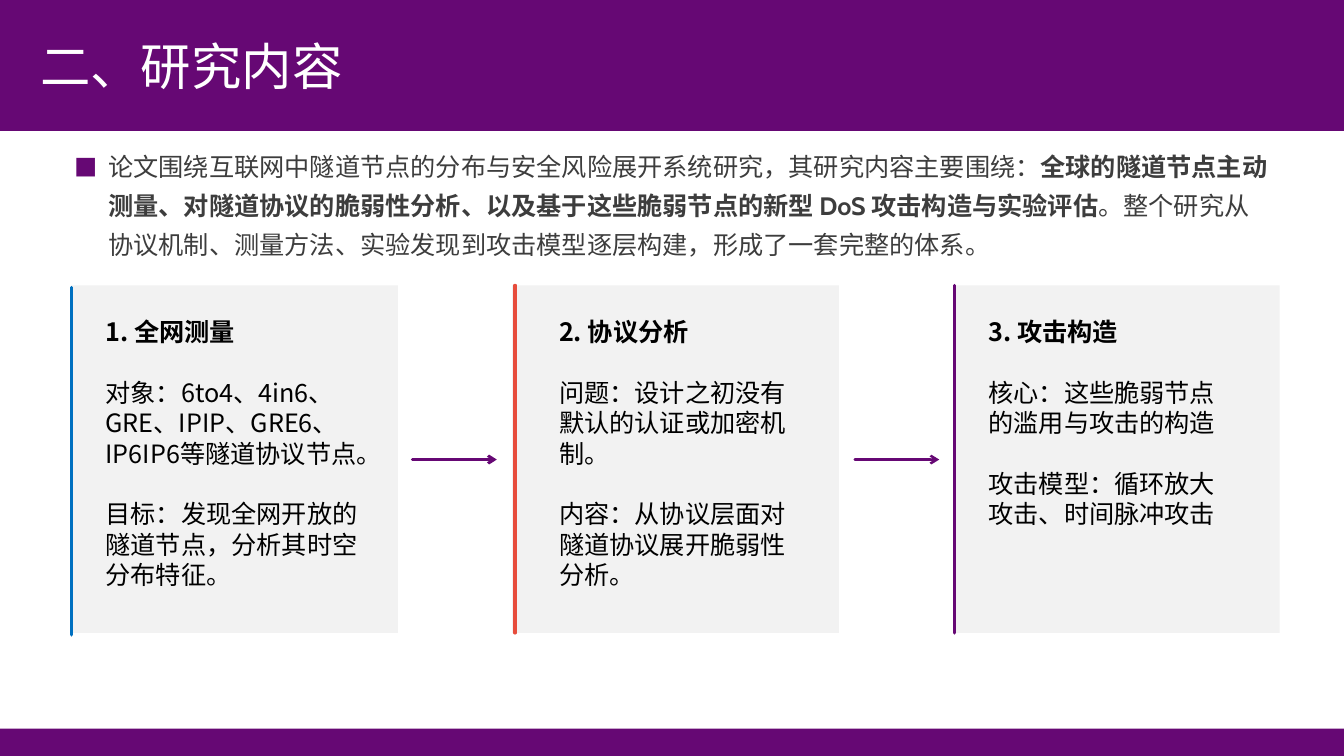
import lxml.etree
import pptx
import pptx.dml.color
import pptx.enum.shapes
import pptx.enum.text
import pptx.oxml.ns
import pptx.util

Cm = pptx.util.Cm
Pt = pptx.util.Pt
qn = pptx.oxml.ns.qn
RGBColor = pptx.dml.color.RGBColor

PURPLE = RGBColor(0x66, 0x08, 0x74)
BLUE = RGBColor(0x00, 0x70, 0xC0)
RED = RGBColor(0xE7, 0x4C, 0x3C)
PALE = RGBColor(0xF2, 0xF2, 0xF2)
GREY = RGBColor(0x3D, 0x3D, 0x3D)
BLACK = RGBColor(0, 0, 0)
WHITE = RGBColor(255, 255, 255)
SANS = "Noto Sans CJK SC"
CABIN = "Cabin"
WIDE, HIGH = 33.87, 19.05


def add_tag(parent, tag, **attrs):
    return lxml.etree.SubElement(parent, qn(tag), attrs)


class Painter:
    def __init__(self, slide, font=SANS, size=18):
        self.slide = slide
        self.font = font
        self.size = size

    def rect(self, x, y, w, h, fill):
        shape = self.slide.shapes.add_shape(
            pptx.enum.shapes.MSO_SHAPE.RECTANGLE, Cm(x), Cm(y), Cm(w), Cm(h))
        shape.shadow.inherit = False
        shape.fill.solid()
        shape.fill.fore_color.rgb = fill
        shape.line.fill.background()

    def line(self, x1, y1, x2, y2, color, width=2.25, arrow=False):
        line = self.slide.shapes.add_connector(
            pptx.enum.shapes.MSO_CONNECTOR.STRAIGHT, Cm(x1), Cm(y1), Cm(x2), Cm(y2))
        line.line.color.rgb = color
        line.line.width = Pt(width)
        props = line._element.spPr
        stroke = props.find(qn("a:ln"))
        stroke.set("cap", "rnd")
        if arrow:
            add_tag(stroke, "a:tailEnd", type="arrow")
        add_tag(props, "a:effectLst")

    def text(self, paras, x, y, w, h, font=None, size=None, color=BLACK,
             pitch=None, gap=0, middle=False, bullet=None):
        box = self.slide.shapes.add_textbox(Cm(x), Cm(y), Cm(w), Cm(h))
        frame = box.text_frame
        frame.word_wrap = True
        if middle:
            frame.vertical_anchor = pptx.enum.text.MSO_ANCHOR.MIDDLE
        for i, runs in enumerate(paras):
            para = frame.paragraphs[0] if i == 0 else frame.add_paragraph()
            if bullet:
                self.bullet(para, bullet)
            if pitch:
                para.line_spacing = pitch
            if i:
                para.space_before = Pt(gap)
            for words, bold in runs:
                run = para.add_run()
                run.text = words
                run.font.size = Pt(size or self.size)
                run.font.bold = bold
                run.font.color.rgb = color
                run.font.name = font or self.font
                add_tag(run.font._element, "a:ea", typeface=font or self.font)

    def bullet(self, para, color):
        props = para._p.get_or_add_pPr()
        props.set("marL", str(Cm(0.85)))
        props.set("indent", str(-Cm(0.85)))
        paint = add_tag(props, "a:buClr")
        add_tag(paint, "a:srgbClr", val=str(color))
        add_tag(props, "a:buSzPct", val="92000")
        add_tag(props, "a:buFont", typeface=SANS)
        add_tag(props, "a:buChar", char="■")


INTRO = [
    ("论文围绕互联网中隧道节点的分布与安全风险展开系统研究，其研究内容主要围绕：", False),
    ("全球的隧道节点主动测量、对隧道协议的脆弱性分析、以及基于这些脆弱节点的新型 DoS 攻击构造与实验评估", True),
    ("。整个研究从协议机制、测量方法、实验发现到攻击模型逐层构建，形成了一套完整的体系。", False),
]
CARDS = [
    (BLUE, 1.8, 7.24, 2.41, 7.04, "1. 全网测量",
     "对象：6to4、4in6、GRE、IPIP、GRE6、IP6IP6等隧道协议节点。",
     "目标：发现全网开放的隧道节点，分析其时空分布特征。"),
    (RED, 12.98, 7.19, 13.84, 6.43, "2. 协议分析",
     "问题：设计之初没有默认的认证或加密机制。",
     "内容：从协议层面对隧道协议展开脆弱性分析。"),
    (PURPLE, 24.05, 7.19, 24.66, 6.43, "3. 攻击构造",
     "核心：这些脆弱节点的滥用与攻击的构造",
     "攻击模型：循环放大攻击、时间脉冲攻击"),
]
LEFT, TOP, CARD_W, CARD_H, STEP = 1.8, 7.19, 8.23, 8.76, 11.11
LEAD = 21.7


def main():
    deck = pptx.Presentation()
    deck.slide_width = Cm(WIDE)
    deck.slide_height = Cm(HIGH)
    pen = Painter(deck.slides.add_slide(deck.slide_layouts[6]))

    pen.rect(0, 0, WIDE, 3.3, PURPLE)
    pen.rect(0, 18.36, WIDE, 0.69, PURPLE)
    pen.text([[("二、研究内容", False)]], 0.76, 0.25, 30, 2.82,
             size=36, color=WHITE, middle=True)
    pen.text([INTRO], 1.63, 3.45, 30.63, 3.5,
             font=CABIN, color=GREY, pitch=1.3, bullet=PURPLE)

    for i, (color, edge, top, left, width, head, *body) in enumerate(CARDS):
        pen.rect(LEFT + i * STEP, TOP, CARD_W, CARD_H, PALE)
        pen.line(edge, top, edge, top + CARD_H, color)
        paras = [[(head, True)]] + [[(words, False)] for words in body]
        pen.text(paras, left, 7.84, width, 7.19, pitch=Pt(LEAD), gap=LEAD)

    for x, width in ((10.39, 2), (21.54, 1.75)):
        pen.line(x, 11.58, x + 2.13, 11.58, PURPLE, width, arrow=True)

    deck.save("out.pptx")


if __name__ == "__main__":
    main()
